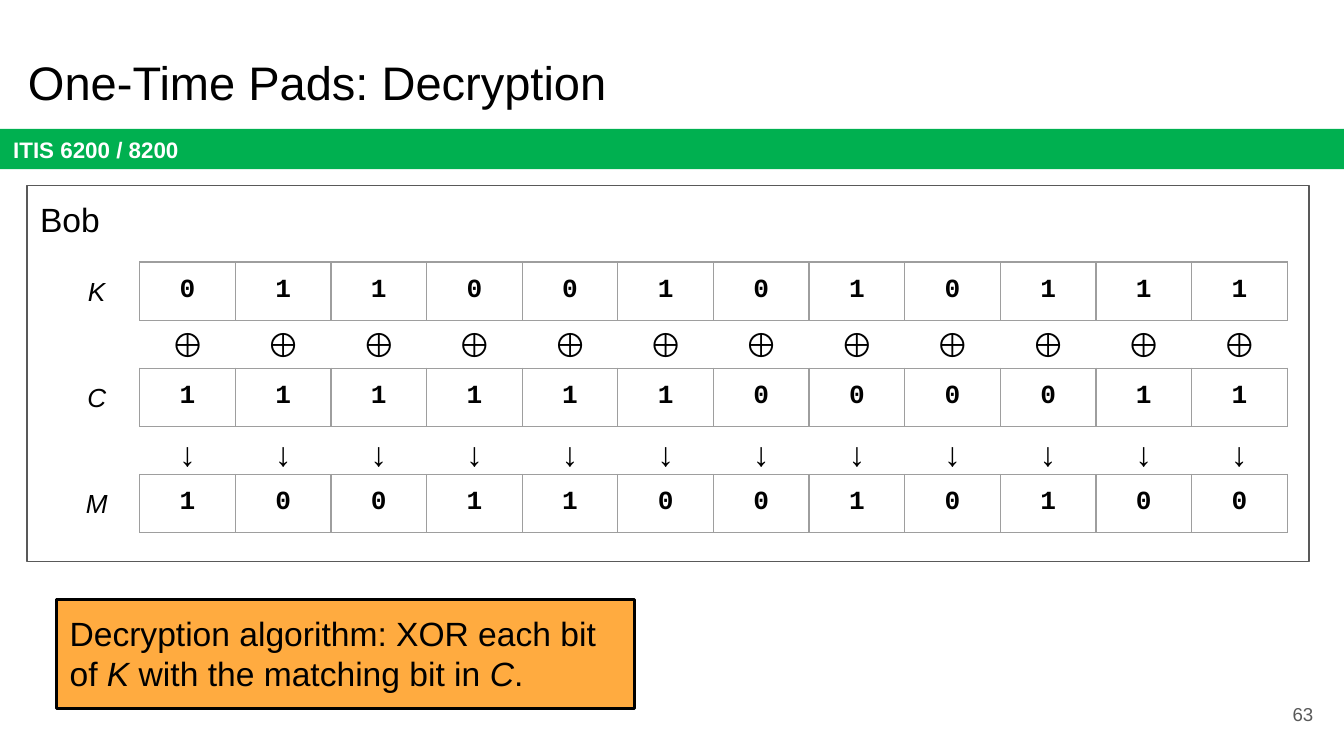
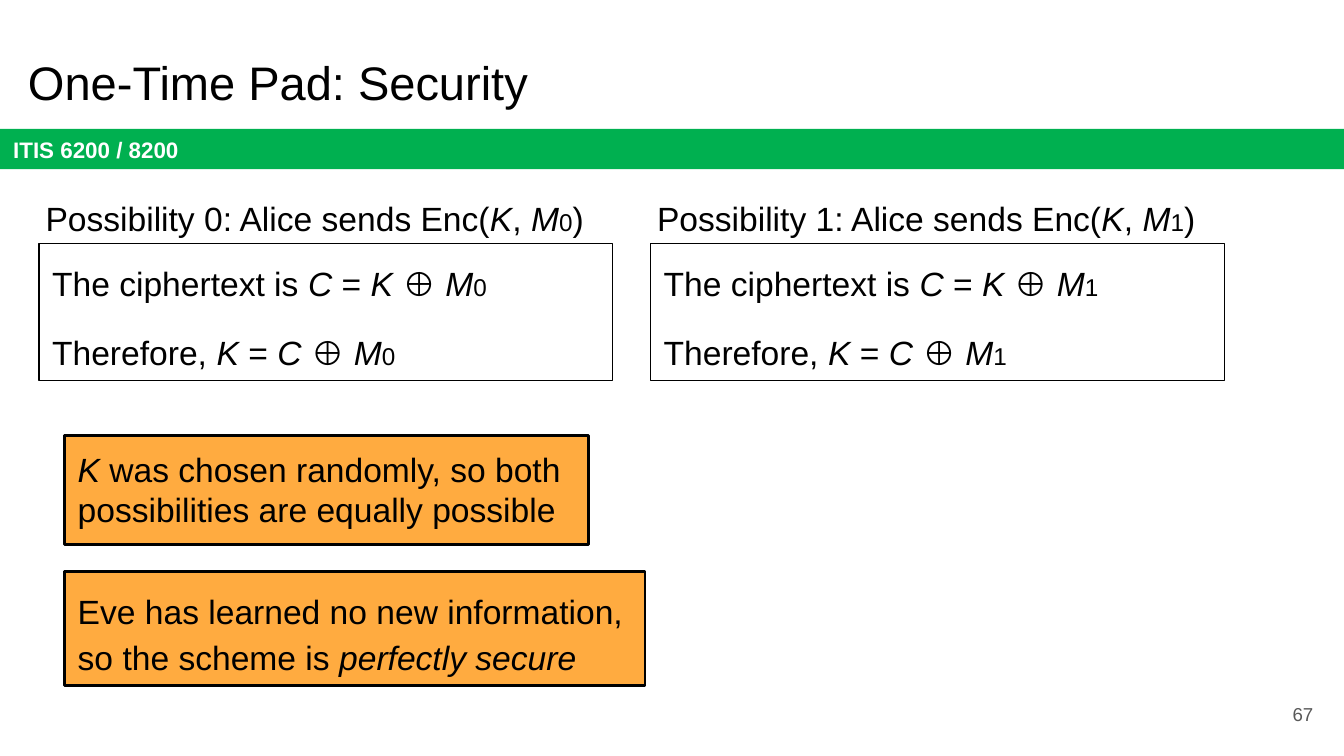
from lxml.etree import SubElement
from pptx import Presentation
from pptx.dml.color import RGBColor
from pptx.enum.shapes import MSO_SHAPE
from pptx.enum.text import MSO_ANCHOR, PP_ALIGN
from pptx.oxml.ns import qn
from pptx.util import Inches, Pt

BLACK, WHITE, GREY = "000000", "FFFFFF", "595959"
GREEN, ORANGE, GRID = "00B050", "FFAB40", "9E9E9E"
BODY_SIZE, SUBSCRIPT_SIZE = 18, 13
INSET = Inches(0.1)

BITS_LEFT, BITS_WIDTH = 1.04, 8.54
BITS_TOP, BITS_PITCH, BITS_HEIGHT = 1.95, 0.79, 0.43
BIT_ROWS = [("K", "011001010111"), ("C", "111111000011"), ("M", "100110010100")]


def rgb(value):
    return RGBColor.from_string(value)


def set_font(p, size, color=BLACK, name="Arial", bold=False):
    p.font.size = Pt(size)
    p.font.name = name
    p.font.bold = bold
    p.font.color.rgb = rgb(color)


def add_runs(p, text):
    """Write text in which *...* is italic and ~...~ is a small index."""
    for i, part in enumerate(text.split("*")):
        for j, piece in enumerate(part.split("~")):
            if piece:
                r = p.add_run()
                r.text = piece
                if i % 2:
                    r.font.italic = True
                if j % 2:
                    r.font.size = Pt(SUBSCRIPT_SIZE)


def fill_text(sp, lines, size=BODY_SIZE, color=BLACK, bold=False,
              align=PP_ALIGN.LEFT, anchor=MSO_ANCHOR.TOP, spacing=None,
              before=0, after=0):
    """Fill a shape; before applies from the second line, after to the last."""
    tf = sp.text_frame
    tf.word_wrap = True
    tf.vertical_anchor = anchor
    tf.margin_left = tf.margin_right = tf.margin_top = tf.margin_bottom = INSET
    for i, line in enumerate(lines):
        p = tf.add_paragraph() if i else tf.paragraphs[0]
        add_runs(p, line)
        set_font(p, size, color, bold=bold)
        p.alignment = align
        if spacing:
            p.line_spacing = spacing
        if i and before:
            p.space_before = Pt(before)
        if i == len(lines) - 1 and after:
            p.space_after = Pt(after)


def add_text(s, box, text, **style):
    sp = s.shapes.add_textbox(*map(Inches, box))
    fill_text(sp, [text], **style)


def add_box(s, box, lines=(), fill=None, line=None, line_width=0.75, **style):
    sp = s.shapes.add_shape(MSO_SHAPE.RECTANGLE, *map(Inches, box))
    sp.shadow.inherit = False
    if fill:
        sp.fill.solid()
        sp.fill.fore_color.rgb = rgb(fill)
    else:
        sp.fill.background()
    if line:
        sp.line.color.rgb = rgb(line)
        sp.line.width = Pt(line_width)
    else:
        sp.line.fill.background()
    fill_text(sp, lines, **style)


def add_callout(s, box, text, **style):
    add_box(s, box, [text], fill=ORANGE, line=BLACK, line_width=1.5, **style)


def set_borders(cell, color):
    """Draw all four cell borders, or clear them when color is None."""
    tc_pr = cell._tc.get_or_add_tcPr()
    for side in ("a:lnL", "a:lnR", "a:lnT", "a:lnB"):
        ln = SubElement(tc_pr, qn(side), w=str(Pt(0.75)))
        if color:
            solid = SubElement(ln, qn("a:solidFill"))
            SubElement(solid, qn("a:srgbClr"), val=color)
        else:
            SubElement(ln, qn("a:noFill"))


def add_row_table(s, top, height, values, size, border=None, spacing=None,
                  after=0, name="Arial", bold=False):
    frame = s.shapes.add_table(1, len(values), Inches(BITS_LEFT), Inches(top),
                               Inches(BITS_WIDTH), Inches(height))
    table = frame.table
    table.first_row = table.horz_banding = False
    for cell, value in zip(table.iter_cells(), values):
        set_borders(cell, border)
        cell.fill.background()
        cell.margin_left = cell.margin_right = INSET
        cell.margin_top = cell.margin_bottom = INSET
        p = cell.text_frame.paragraphs[0]
        add_runs(p, value)
        set_font(p, size, name=name, bold=bold)
        p.alignment = PP_ALIGN.CENTER
        if spacing:
            p.line_spacing = spacing
            p.space_after = Pt(after)


def add_base_slide(prs, title, number):
    s = prs.slides.add_slide(prs.slide_layouts[6])
    add_box(s, (0, 0.96, 10, 0.3), ["ITIS 6200 / 8200"], fill=GREEN, size=12,
            color=WHITE, bold=True, anchor=MSO_ANCHOR.MIDDLE)
    add_text(s, (0.11, 0.3, 9.32, 0.63), title, size=25.2)
    add_text(s, (9.27, 5.1, 0.6, 0.43), str(number), size=10, color=GREY,
             align=PP_ALIGN.RIGHT, anchor=MSO_ANCHOR.MIDDLE)
    return s


def add_decryption_slide(prs):
    s = add_base_slide(prs, "One-Time Pads: Decryption", 63)
    add_box(s, (0.2, 1.38, 9.54, 2.8), line=GREY)
    add_text(s, (0.2, 1.38, 0.84, 0.5), "Bob")
    for i, (label, bits) in enumerate(BIT_ROWS):
        top = BITS_TOP + i * BITS_PITCH
        add_row_table(s, top, BITS_HEIGHT, bits, 14, border=GRID,
                      name="Courier New", bold=True)
        add_text(s, (0.42, top, 0.6, 0.44), f"*{label}*", size=14,
                 align=PP_ALIGN.CENTER)
    for top, symbol in ((2.29, "⊕"), (3.1, "↓")):
        add_row_table(s, top, 0.53, symbol * len(BIT_ROWS[0][1]), BODY_SIZE,
                      spacing=1.15, after=12)
    add_callout(s, (0.42, 4.46, 4.3, 0.81),
                "Decryption algorithm: XOR each bit of *K* with the matching bit in *C*.")


def add_security_slide(prs):
    s = add_base_slide(prs, "One-Time Pad: Security", 67)
    for i, heading_width in enumerate((4.39, 4.32)):
        left = 0.24 + i * 4.55
        add_text(s, (left, 1.37, heading_width, 0.5),
                 f"Possibility {i}: Alice sends Enc(*K*, *M*~{i}~)")
        add_box(s, (left + 0.05, 1.81, 4.27, 1.02),
                [f"The ciphertext is *C* = *K* ⊕ *M*~{i}~",
                 f"Therefore, *K* = *C* ⊕ *M*~{i}~"],
                line=BLACK, spacing=1.15, before=12, after=12)
    add_callout(s, (0.48, 3.24, 3.9, 0.81),
                "*K* was chosen randomly, so both possibilities are equally possible")
    add_callout(s, (0.48, 4.25, 4.32, 0.85),
                "Eve has learned no new information, so the scheme is *perfectly secure*",
                spacing=1.15, after=12)


def main():
    prs = Presentation()
    prs.slide_width = Inches(10)
    prs.slide_height = prs.slide_width * 9 // 16
    add_decryption_slide(prs)
    add_security_slide(prs)
    prs.save("out.pptx")


if __name__ == "__main__":
    main()
